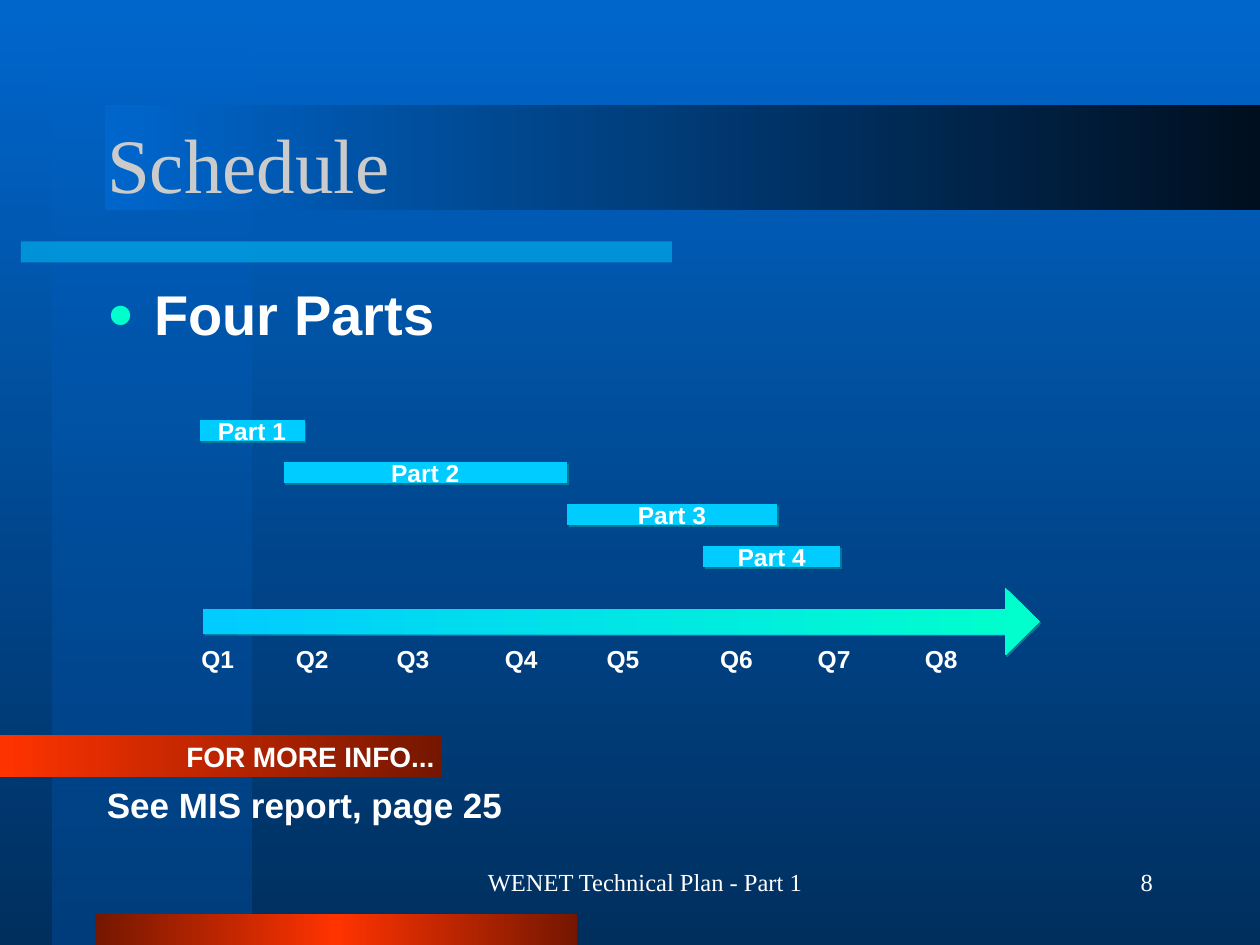
import collections
import pptx
import pptx.dml.color
import pptx.enum.shapes
import pptx.enum.text
import pptx.oxml
import pptx.oxml.ns
import pptx.util
from lxml import etree

RGB = pptx.dml.color.RGBColor
SHAPE = pptx.enum.shapes.MSO_SHAPE
ALIGN = pptx.enum.text.PP_ALIGN
ANCHOR = pptx.enum.text.MSO_ANCHOR
FIT = pptx.enum.text.MSO_AUTO_SIZE
qn = pptx.oxml.ns.qn

BLUE = RGB(0x00, 0x66, 0xCC)
DEEP_BLUE = RGB(0x00, 0x2F, 0x5E)
STRIP_BLUE = RGB(0x00, 0x3E, 0x7D)
NIGHT = RGB(0x00, 0x0F, 0x1F)
CYAN = RGB(0x00, 0xCC, 0xFF)
MINT = RGB(0x00, 0xFF, 0xCC)
SHADE = RGB(0x00, 0x79, 0x98)
RED = RGB(0xFF, 0x33, 0x00)
MAROON = RGB(0x75, 0x17, 0x00)
SILVER = RGB(0xCB, 0xCB, 0xCB)
WHITE = RGB(0xFF, 0xFF, 0xFF)

COLUMNS, ROWS = 120, 90
CELL = pptx.util.Inches(10) / COLUMNS
Box = collections.namedtuple("Box", "col row cols rows")


def inside(box, col, row, cols, rows):
    return Box(box.col + col, box.row + row, cols, rows)


def emu(box):
    return [round(n * CELL) for n in box]


def add_color(parent, color, alpha=100):
    srgb = etree.SubElement(parent, qn("a:srgbClr"), val=str(color))
    if alpha < 100:
        etree.SubElement(srgb, qn("a:alpha"), val=str(alpha * 1000))


def paint_gradient(fill, element, stops, angle=0):
    fill.gradient()
    fill.gradient_angle = angle
    stop_list = next(element.iter(qn("a:gsLst")))
    for stop in list(stop_list):
        stop_list.remove(stop)
    for position, color, alpha in stops:
        stop = etree.SubElement(stop_list, qn("a:gs"), pos=str(position * 1000))
        add_color(stop, color, alpha)


def add_block(shapes, box, preset=SHAPE.RECTANGLE, color=None, alpha=100, stops=(), angle=0):
    block = shapes.add_shape(preset, *emu(box))
    block.shadow.inherit = False
    block.line.fill.background()
    if stops:
        paint_gradient(block.fill, block._element.spPr, stops, angle)
    else:
        block.fill.solid()
        block.fill.fore_color.rgb = color
        if alpha < 100:
            srgb = next(block._element.spPr.iter(qn("a:srgbClr")))
            etree.SubElement(srgb, qn("a:alpha"), val=str(alpha * 1000))
    return block


def cast_shadow(block):
    effects = block._element.spPr.find(qn("a:effectLst"))
    shadow = etree.SubElement(effects, qn("a:outerShdw"), dist="17780", dir="2700000",
                              algn="ctr", rotWithShape="0")
    add_color(shadow, SHADE)


def write(shape, words, size, font="Arial", color=WHITE, bold=True, align=ALIGN.LEFT,
          anchor=ANCHOR.TOP, wrap=True, fit=FIT.NONE):
    frame = shape.text_frame
    frame.text = words
    frame.word_wrap = wrap
    frame.auto_size = fit
    frame.vertical_anchor = anchor
    line = frame.paragraphs[0]
    line.alignment = align
    face = line.runs[0].font
    face.name, face.size, face.bold = font, pptx.util.Pt(size), bold
    face.color.rgb = color
    return line


def fill_placeholder(slide, holder, box, *words, **style):
    slide.shapes._spTree.append(holder._element)
    holder.left, holder.top, holder.width, holder.height = emu(box)
    return write(holder, *words, **style)


def add_backdrop(slide, page):
    background = slide.background
    paint_gradient(background.fill, background._cSld,
                   [(0, BLUE, 100), (100, DEEP_BLUE, 100)], 270)
    add_block(slide.shapes, inside(page, 5, 0, 19, page.rows),
              stops=[(0, BLUE, 50), (100, STRIP_BLUE, 100)], angle=270)
    add_block(slide.shapes, inside(page, 2, 23, 62, 2), color=CYAN, alpha=50)
    add_block(slide.shapes, inside(page, 9, 87, 46, 3),
              stops=[(0, MAROON, 100), (50, RED, 100), (100, MAROON, 100)])
    add_block(slide.shapes, inside(page, 10, 10, 110, 10),
              stops=[(0, BLUE, 100), (100, NIGHT, 100)])


def add_headings(slide, box):
    title, body = slide.placeholders[0], slide.placeholders[1]
    fill_placeholder(slide, title, inside(box, 0, 0, box.cols, 15), "Schedule", 44,
                     font="Times New Roman", color=SILVER, bold=False, anchor=ANCHOR.MIDDLE)
    topic = fill_placeholder(slide, body, inside(box, 0, 18, box.cols, 54), "Four Parts", 32)
    topic.space_before = pptx.util.Pt(8)
    props = topic._p.get_or_add_pPr()
    props.set("marL", "342900")
    props.set("indent", "-342900")
    add_color(etree.SubElement(props, qn("a:buClr")), MINT)
    etree.SubElement(props, qn("a:buSzPct"), val="80000")
    etree.SubElement(props, qn("a:buChar"), char="●")


def add_more_info(slide, box):
    banner = add_block(slide.shapes, inside(box, 0, 0, 42, 4),
                       stops=[(0, RED, 100), (100, MAROON, 100)])
    write(banner, "FOR MORE INFO...", 16, align=ALIGN.RIGHT, anchor=ANCHOR.MIDDLE, wrap=False)
    banner.text_frame.margin_left = banner.text_frame.margin_right = pptx.util.Inches(0.05)
    reference = slide.shapes.add_textbox(*emu(inside(box, 9, 4, 102, 12)))
    write(reference, "See MIS report, page 25", 20).space_before = pptx.util.Pt(5)


def add_timeline(slide, box):
    timeline = slide.shapes.add_group_shape().shapes
    arrow = add_block(timeline, inside(box, 1.35, 0, 79.65, 6.4), SHAPE.RIGHT_ARROW,
                      stops=[(0, CYAN, 100), (100, MINT, 100)])
    arrow.adjustments[0], arrow.adjustments[1] = 0.37, 0.51
    cast_shadow(arrow)
    for number, col in enumerate((0, 9, 18.6, 28.9, 38.6, 49.4, 58.7, 68.9), 1):
        quarter = timeline.add_textbox(*emu(inside(box, col, 4.7, 5.5, 4)))
        write(quarter, f"Q{number}", 14, wrap=False, fit=FIT.SHAPE_TO_FIT_TEXT)


def add_parts(slide, box):
    spans = [(0, 10), (8, 27), (35, 20), (48, 13)]
    for index, (start, length) in enumerate(spans):
        part = add_block(slide.shapes, inside(box, start, index * 4, length, 2),
                         SHAPE.FLOWCHART_PROCESS, CYAN)
        cast_shadow(part)
        write(part, f"Part {index + 1}", 14, align=ALIGN.CENTER,
              anchor=ANCHOR.MIDDLE, wrap=False)


def add_footer(slide, box):
    entries = [(0, 38, "WENET Technical Plan - Part 1", ALIGN.CENTER),
               (45, 25, "8", ALIGN.RIGHT)]
    for col, cols, words, align in entries:
        entry = slide.shapes.add_textbox(*emu(inside(box, col, 0, cols, box.rows)))
        line = write(entry, words, 14, font="Times New Roman", bold=False,
                     align=align, anchor=ANCHOR.MIDDLE)
        line._p.get_or_add_pPr().set("marL", "219456")


def main():
    deck = pptx.Presentation()
    deck.slide_width, deck.slide_height = emu((COLUMNS, ROWS))
    slide = deck.slides.add_slide(deck.slide_layouts[1])
    add_backdrop(slide, Box(0, 0, COLUMNS, ROWS))
    add_headings(slide, Box(9, 8, 102, 72))
    add_more_info(slide, Box(0, 70, 111, 16))
    add_timeline(slide, Box(18, 56, 81, 9))
    add_parts(slide, Box(19, 40, 61, 14))
    add_footer(slide, Box(41, 81, 70, 6))
    deck.save("out.pptx")


if __name__ == "__main__":
    main()
